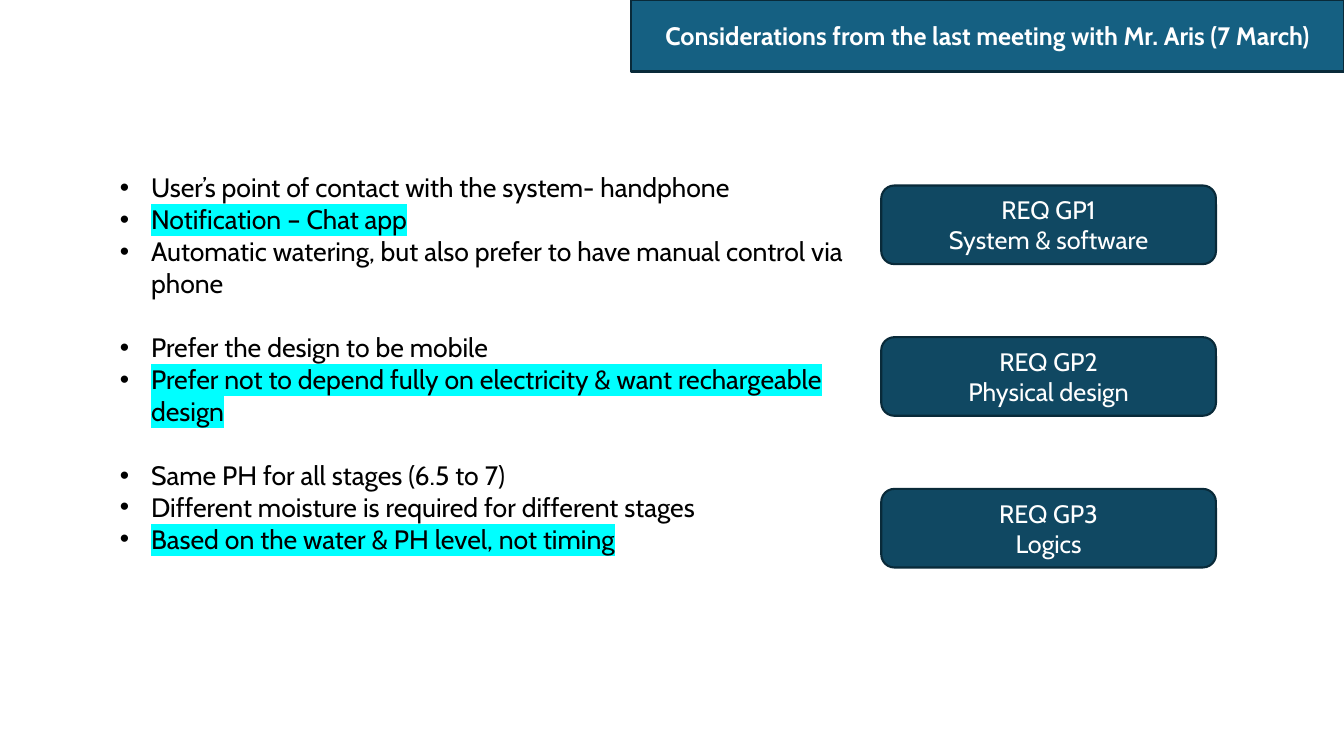
from pptx import Presentation, util as u
from pptx.dml.color import RGBColor
from pptx.enum import shapes, text
from pptx.oxml.ns import qn
from lxml import etree

COLORS = {
    "banner": "156082",
    "card": "104862",
    "outline": "092A39",
    "ink": "000000",
    "light": "FFFFFF",
    "marker": "00FFFF",
}

TITLE = "Considerations from the last meeting with Mr. Aris (7 March)"

NOTES = [
    [
        ("User’s point of contact with the system- handphone", False),
        ("Notification – Chat app", True),
        ("Automatic watering, but also prefer to have manual control via phone", False),
    ],
    [
        ("Prefer the design to be mobile", False),
        ("Prefer not to depend fully on electricity & want rechargeable design", True),
    ],
    [
        ("Same PH for all stages (6.5 to 7)", False),
        ("Different moisture is required for different stages", False),
        ("Based on the water & PH level, not timing", True),
    ],
]

REQUIREMENTS = ["System & software", "Physical design", "Logics"]


class RequirementsPage:
    font_name = "Cabin"
    note_size = 19
    group_gap = 23
    label_size = 18

    def __init__(self, deck):
        self.page = deck.slides.add_slide(deck.slide_layouts[5])

    def color(self, name):
        return RGBColor.from_string(COLORS[name])

    def style(self, para, size, color, bold=False):
        para.font.name = self.font_name
        para.font.size = u.Pt(size)
        para.font.bold = bold
        para.font.color.rgb = self.color(color)

    def label(self, box, fill, lines, bold=False):
        box.fill.solid()
        box.fill.fore_color.rgb = self.color(fill)
        box.line.color.rgb = self.color("outline")
        box.line.width = u.Pt(1.5)
        frame = box.text_frame
        frame.text = "\n".join(lines)
        frame.word_wrap = True
        frame.auto_size = text.MSO_AUTO_SIZE.NONE
        frame.vertical_anchor = text.MSO_ANCHOR.MIDDLE
        for para in frame.paragraphs:
            para.alignment = text.PP_ALIGN.CENTER
            self.style(para, self.label_size, "light", bold)

    def title(self, words, left, top, width, height):
        box = self.page.shapes.title
        box.left, box.top = u.Inches(left), u.Inches(top)
        box.width, box.height = u.Inches(width), u.Inches(height)
        self.label(box, "banner", [words], bold=True)

    def card(self, lines, left, top, width, height):
        box = self.page.shapes.add_shape(
            shapes.MSO_SHAPE.ROUNDED_RECTANGLE,
            u.Inches(left), u.Inches(top), u.Inches(width), u.Inches(height))
        box.shadow.inherit = False
        self.label(box, "card", lines)

    def bullet(self, para):
        properties = para._p.get_or_add_pPr()
        indent = u.Inches(0.31)
        properties.set("marL", str(indent))
        properties.set("indent", str(-indent))
        etree.SubElement(properties, qn("a:buFont"), typeface="Arial")
        etree.SubElement(properties, qn("a:buChar"), char="•")

    def highlight(self, span):
        marker = etree.SubElement(span._r.get_or_add_rPr(), qn("a:highlight"))
        etree.SubElement(marker, qn("a:srgbClr"), val=COLORS["marker"])

    def notes(self, groups, left, top, width, height):
        box = self.page.shapes.add_textbox(
            u.Inches(left), u.Inches(top), u.Inches(width), u.Inches(height))
        frame = box.text_frame
        frame.word_wrap = True
        para = frame.paragraphs[0]
        for number, group in enumerate(groups):
            for position, (words, marked) in enumerate(group):
                if number or position:
                    para = frame.add_paragraph()
                self.bullet(para)
                if number and not position:
                    para.space_before = u.Pt(self.group_gap)
                self.style(para, self.note_size, "ink")
                span = para.add_run()
                span.text = words
                if marked:
                    self.highlight(span)


def main():
    deck = Presentation()
    deck.slide_width, deck.slide_height = u.Inches(13.33), u.Inches(7.5)
    page = RequirementsPage(deck)
    page.title(TITLE, 6.26, 0, 7.07, 0.71)
    page.notes(NOTES, 1.09, 1.65, 7.48, 4.26)
    for index, topic in enumerate(REQUIREMENTS):
        page.card([f"REQ GP{index + 1}", topic], 8.74, 1.84 + 1.505 * index, 3.32, 0.78)
    deck.save("out.pptx")


if __name__ == "__main__":
    main()
